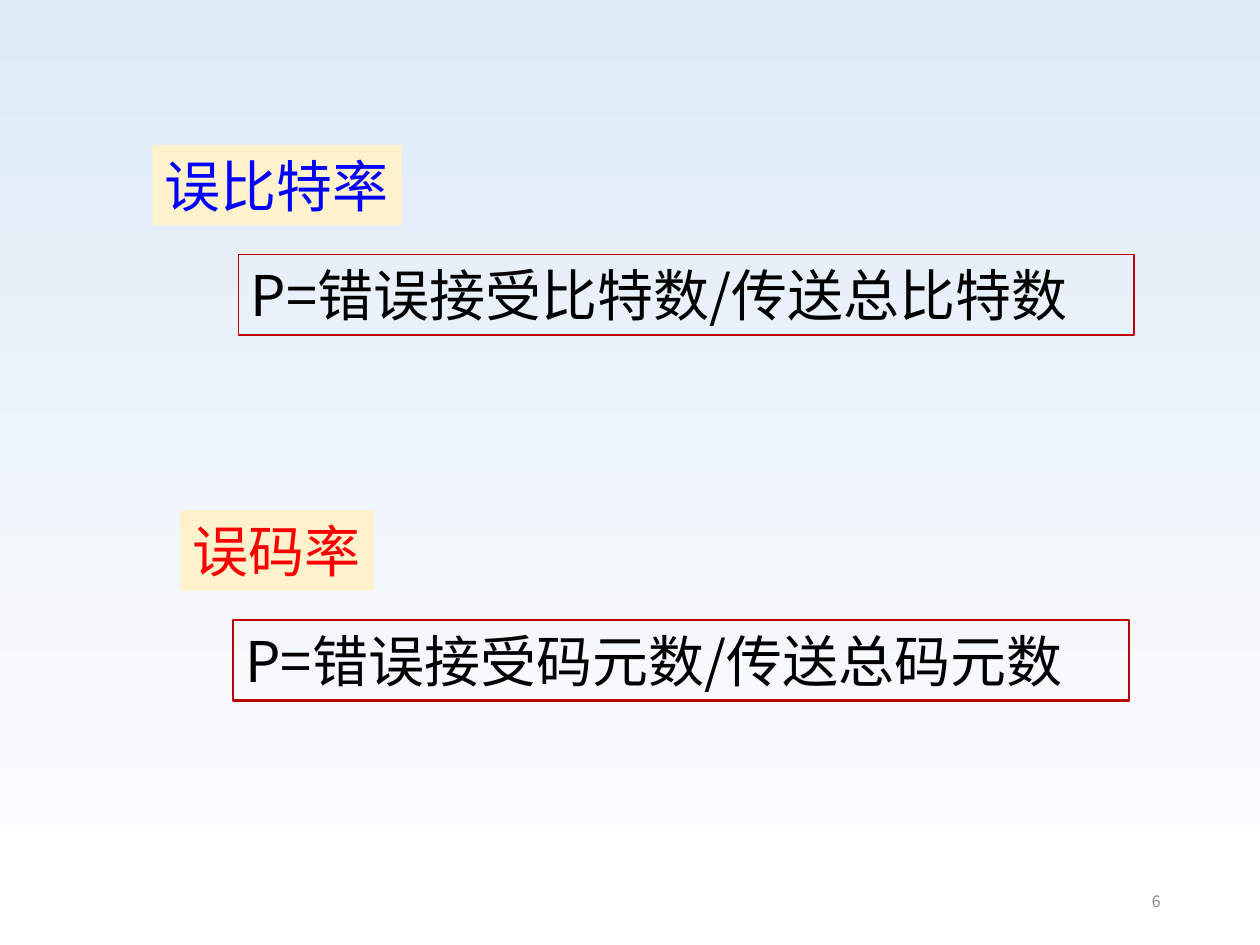
from lxml import etree
from pptx import Presentation
from pptx.dml.color import RGBColor
from pptx.enum.shapes import MSO_SHAPE
from pptx.enum.text import MSO_ANCHOR, MSO_AUTO_SIZE, PP_ALIGN
from pptx.oxml.ns import qn
from pptx.util import Inches, Pt

RECTANGLE = MSO_SHAPE.RECTANGLE
TOP, MIDDLE = MSO_ANCHOR.TOP, MSO_ANCHOR.MIDDLE
LEFT, RIGHT = PP_ALIGN.LEFT, PP_ALIGN.RIGHT
GROW = MSO_AUTO_SIZE.SHAPE_TO_FIT_TEXT

COLORS = {
    "sky": "DEEBF7",
    "white": "FFFFFF",
    "cream": "FFF2CC",
    "border": "C00000",
    "blue": "0000FF",
    "red": "FF0000",
    "black": "000000",
    "gray": "898989",
}


def rgb(name):
    return RGBColor.from_string(COLORS[name])


def write_text(frame, text, *, size, color, font, align=LEFT, anchor=TOP):
    frame.vertical_anchor = anchor
    para = frame.paragraphs[0]
    para.alignment = align
    span = para.add_run()
    span.text = text
    span.font.size = Pt(size)
    span.font.color.rgb = rgb(color)
    span.font.name = font
    east_asian = etree.SubElement(span.font._element, qn("a:ea"))
    east_asian.set("typeface", font)


class SlideBuilder:
    font = "Noto Sans CJK SC"
    number_font = "Noto Sans CJK KR"
    text_size = 32
    box_height = 0.64

    def __init__(self, page):
        self.page = page

    def background(self, start, end):
        fill = self.page.background.fill
        fill.gradient()
        fill.gradient_angle = 270
        for stop, color, position in zip(fill.gradient_stops, (start, end), (0, 1)):
            stop.color.rgb = rgb(color)
            stop.position = position

    def rectangle(self, text, left, top, width, color):
        box = self.page.shapes.add_shape(
            RECTANGLE, Inches(left), Inches(top), Inches(width), Inches(self.box_height)
        )
        box.shadow.inherit = False
        frame = box.text_frame
        frame.word_wrap = False
        frame.auto_size = GROW
        write_text(frame, text, size=self.text_size, color=color, font=self.font)
        return box

    def term(self, text, left, top, width, color):
        box = self.rectangle(text, left, top, width, color)
        box.fill.solid()
        box.fill.fore_color.rgb = rgb("cream")
        box.line.fill.background()

    def formula(self, text, left, top, line_width):
        box = self.rectangle(text, left, top, 7.11, "black")
        box.fill.background()
        box.line.color.rgb = rgb("border")
        box.line.width = Pt(line_width)

    def page_number(self, text):
        box = self.page.shapes.add_textbox(
            Inches(7.06), Inches(6.95), Inches(2.25), Inches(0.4)
        )
        frame = box.text_frame
        frame.word_wrap = True
        write_text(frame, text, size=9, color="gray", font=self.number_font,
                   align=RIGHT, anchor=MIDDLE)


def main():
    deck = Presentation()
    deck.slide_width, deck.slide_height = Inches(10), Inches(7.5)
    builder = SlideBuilder(deck.slides.add_slide(deck.slide_layouts[6]))
    builder.background("sky", "white")
    builder.page_number("6")
    builder.term("误比特率", 1.21, 1.15, 1.98, "blue")
    builder.formula("P=错误接受比特数/传送总比特数", 1.89, 2.02, 0.75)
    builder.term("误码率", 1.43, 4.05, 1.54, "red")
    builder.formula("P=错误接受码元数/传送总码元数", 1.85, 4.92, 1.5)
    deck.save("out.pptx")


if __name__ == "__main__":
    main()
